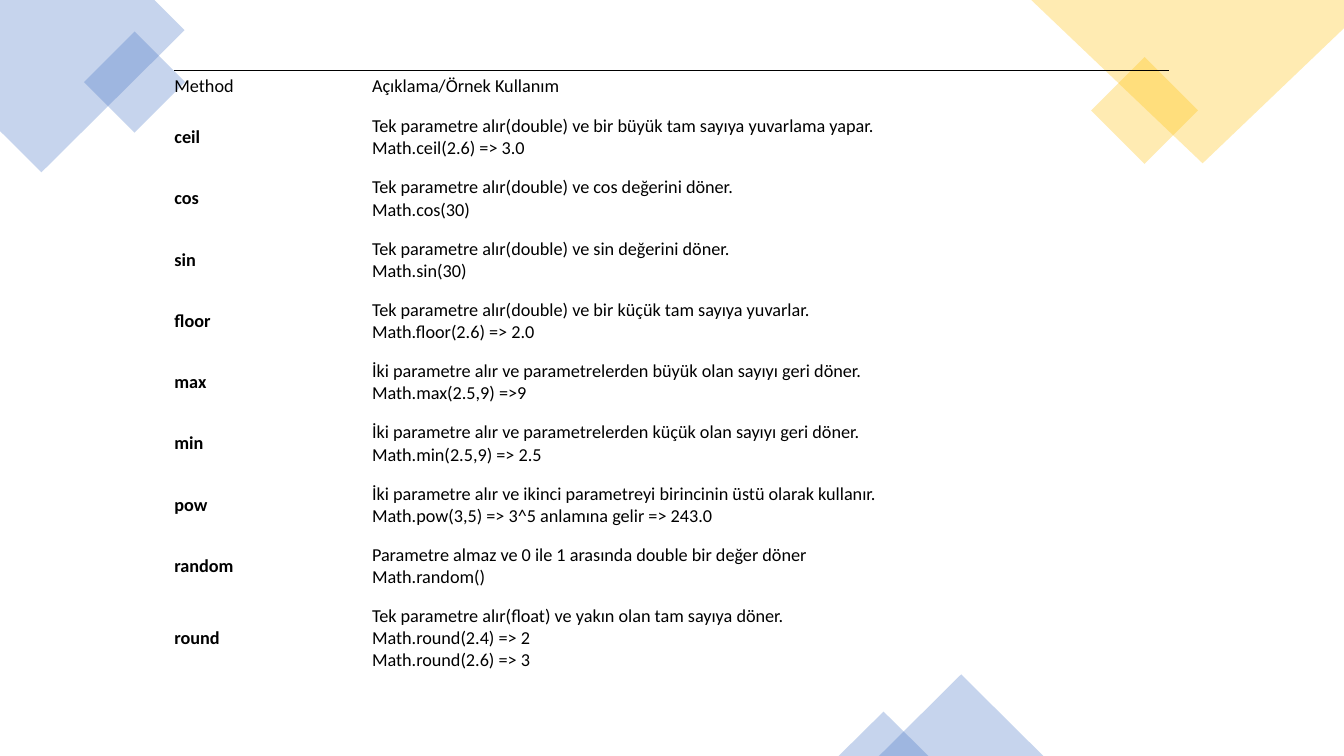
from dataclasses import dataclass

from lxml import etree
from pptx import Presentation
from pptx.dml.color import RGBColor
from pptx.enum.shapes import MSO_SHAPE
from pptx.enum.text import MSO_ANCHOR
from pptx.oxml.ns import qn
from pptx.util import Inches, Pt

SQUARE = MSO_SHAPE.RECTANGLE
PEAK = MSO_SHAPE.ISOSCELES_TRIANGLE
MIDDLE = MSO_ANCHOR.MIDDLE
HEX = {"blue": "4472C4", "gold": "FFC000", "ink": "000000"}
WIDE, HIGH = Inches(13.33), Inches(7.5)
FONT, SIZE = "Calibri", Pt(13)
PLAIN = "{2D5ABB26-0587-4C30-8999-92F81FD0307C}"  # table style without grid


# All lengths are percent of the slide's width or height
def across(share: float) -> int:
    return round(WIDE * share / 100)


def down(share: float) -> int:
    return round(HIGH * share / 100)


@dataclass
class Patch:
    points: list[tuple[float, float]]
    color: str


@dataclass
class Block:
    kind: int
    left: float
    top: float
    width: float
    height: float
    color: str
    turn: int = 0


@dataclass
class Method:
    name: str
    lines: list[str]
    height: float = 8.11
    bold: bool = True


DECOR = [
    Patch([(11.48, 0), (0, 0), (0, 17.33), (3.08, 22.8), (13.73, 4)], "blue"),
    Block(SQUARE, 7.35, 6.13, 5.33, 9.47, "blue", 315),
    Block(SQUARE, 82.35, 9.6, 5.63, 10, "gold", 315),
    Patch([(100, 0), (76.73, 0), (89.48, 21.6), (100, 3.73)], "gold"),
    Block(PEAK, 65.4, 89.2, 12.23, 10.8, "blue"),
    Block(PEAK, 62.4, 94.13, 6.68, 5.87, "blue"),
]

COLS = [14.7, 59.33]
ROWS = [
    Method("Method", ["Açıklama/Örnek Kullanım"], 5.33, False),
    Method("ceil", ["Tek parametre alır(double) ve bir büyük tam sayıya yuvarlama yapar.",
                    "Math.ceil(2.6) => 3.0"]),
    Method("cos", ["Tek parametre alır(double) ve cos değerini döner.",
                   "Math.cos(30)"]),
    Method("sin", ["Tek parametre alır(double) ve sin değerini döner.",
                   "Math.sin(30)"]),
    Method("floor", ["Tek parametre alır(double) ve bir küçük tam sayıya yuvarlar.",
                     "Math.floor(2.6) => 2.0"]),
    Method("max", ["İki parametre alır ve parametrelerden büyük olan sayıyı geri döner.",
                   "Math.max(2.5,9) =>9"]),
    Method("min", ["İki parametre alır ve parametrelerden küçük olan sayıyı geri döner.",
                   "Math.min(2.5,9) => 2.5"]),
    Method("pow", ["İki parametre alır ve ikinci parametreyi birincinin üstü olarak kullanır.",
                   "Math.pow(3,5) => 3^5 anlamına gelir => 243.0"]),
    Method("random", ["Parametre almaz ve 0 ile 1 arasında double bir değer döner",
                      "Math.random()"]),
    Method("round", ["Tek parametre alır(float) ve yakın olan tam sayıya döner.",
                     "Math.round(2.4) => 2", "Math.round(2.6) => 3"], 10.93),
]


# Corner decoration
def tint(shape, color: str) -> None:
    shape.shadow.inherit = False
    shape.line.fill.background()
    shape.fill.solid()
    shape.fill.fore_color.rgb = RGBColor.from_string(HEX[color])
    tone = shape.fill._xPr.find(qn("a:solidFill"))[0]
    etree.SubElement(tone, qn("a:alpha"), val="30000")


def draw_patch(slide, patch: Patch) -> None:
    first, *rest = [(across(x), down(y)) for x, y in patch.points]
    pen = slide.shapes.build_freeform(*first)
    pen.add_line_segments(rest, close=True)
    tint(pen.convert_to_shape(), patch.color)


def draw_block(slide, block: Block) -> None:
    shape = slide.shapes.add_shape(
        block.kind, across(block.left), down(block.top),
        across(block.width), down(block.height))
    shape.rotation = block.turn
    tint(shape, block.color)


# Method table
def write(cell, lines: list[str], bold: bool) -> None:
    cell.fill.background()
    cell.vertical_anchor = MIDDLE
    cell.margin_left, cell.margin_top = 0, Inches(0.03)
    cell.margin_right, cell.margin_bottom = Inches(0.06), Inches(0.11)
    para = cell.text_frame.paragraphs[0]
    for i, line in enumerate(lines):
        if i:
            para.add_line_break()
        run = para.add_run()
        run.text = line
        run.font.name, run.font.size, run.font.bold = FONT, SIZE, bold
        run.font.color.rgb = RGBColor.from_string(HEX["ink"])


def rule_top(cell) -> None:
    edge = etree.Element(qn("a:lnT"), w=str(Pt(0.75)))
    fill = etree.SubElement(edge, qn("a:solidFill"))
    etree.SubElement(fill, qn("a:srgbClr"), val=HEX["ink"])
    cell._tc.get_or_add_tcPr().insert(0, edge)


def draw_table(slide, rows: list[Method]) -> None:
    frame = slide.shapes.add_table(
        len(rows), len(COLS), across(12.98), down(9.33),
        across(sum(COLS)), down(sum(row.height for row in rows)))
    table = frame.table
    table.first_row = table.horz_banding = False
    table._tbl.tblPr.find(qn("a:tableStyleId")).text = PLAIN
    for col, width in zip(table.columns, COLS):
        col.width = across(width)
    for i, row in enumerate(rows):
        table.rows[i].height = down(row.height)
        write(table.cell(i, 0), [row.name], row.bold)
        write(table.cell(i, 1), row.lines, False)
    for cell in table.rows[0].cells:
        rule_top(cell)


def main() -> None:
    deck = Presentation()
    deck.slide_width, deck.slide_height = WIDE, HIGH
    slide = deck.slides.add_slide(deck.slide_layouts[6])
    for part in DECOR:
        if isinstance(part, Patch):
            draw_patch(slide, part)
        else:
            draw_block(slide, part)
    draw_table(slide, ROWS)
    deck.save("out.pptx")


if __name__ == "__main__":
    main()
